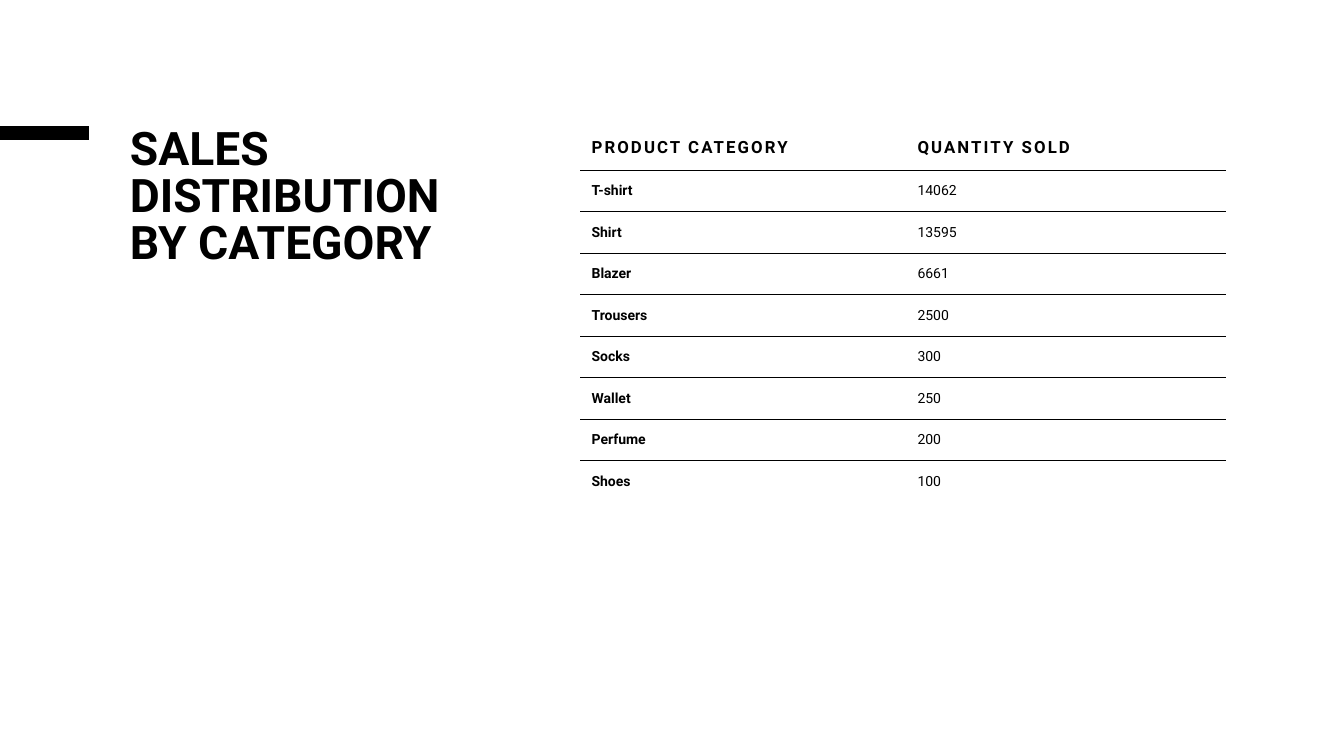
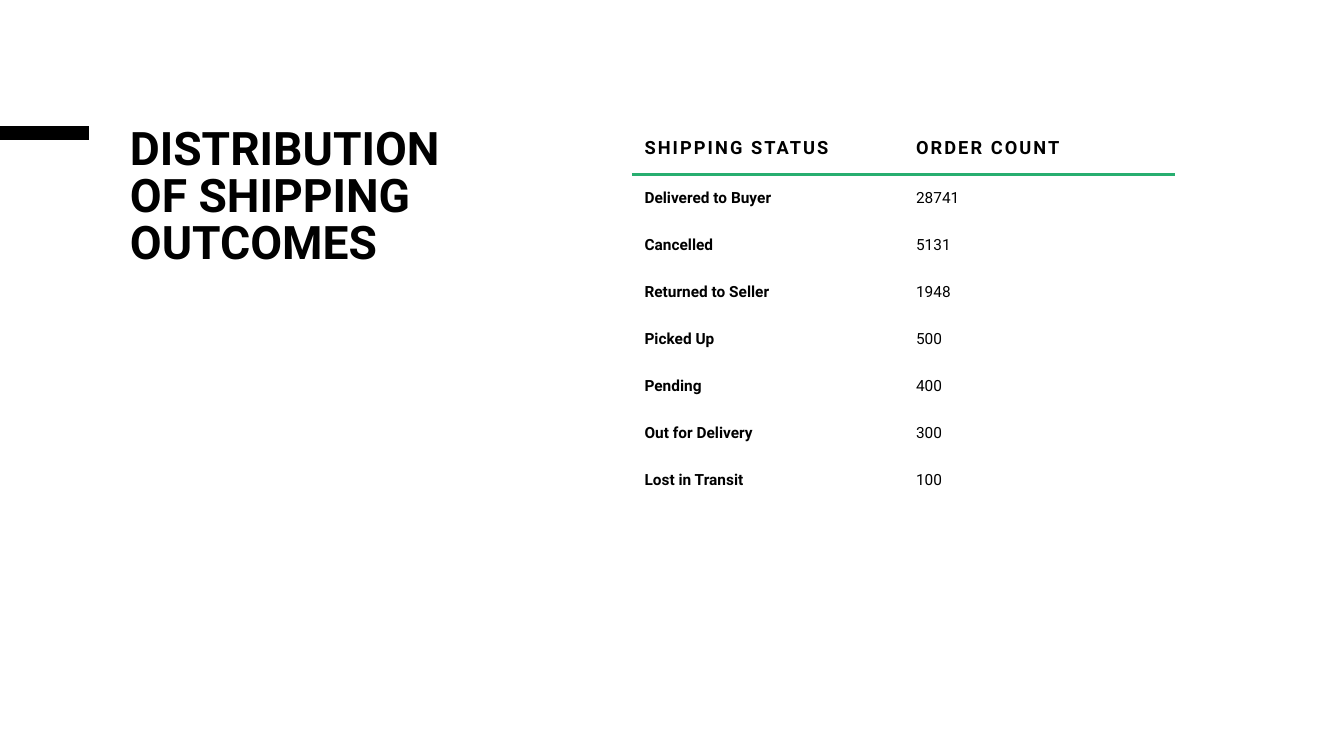
from lxml import etree
from pptx import Presentation
from pptx.dml.color import RGBColor
from pptx.enum import text
from pptx.oxml import ns
from pptx.util import Pt

BLACK = RGBColor(0, 0, 0)
GREEN = RGBColor(0x28, 0xAE, 0x70)
FONT = "Roboto"
WIDE, HIGH = 960, 540
BAR = (0, 95, 63.5)
TITLE = (85.7, 87.8, 275, 272)

SALES = {
    "title": "SALES DISTRIBUTION BY CATEGORY",
    "box": (414.6, 89.3),
    "cols": (232.8, 228.7),
    "head": 32.2,
    "row": 29.66,
    "inset": 8,
    "sizes": (12, 10),
    "rule": (BLACK, 0.5),
    "inner": True,
    "rows": [
        ("PRODUCT CATEGORY", "QUANTITY SOLD"),
        ("T-shirt", "14062"),
        ("Shirt", "13595"),
        ("Blazer", "6661"),
        ("Trousers", "2500"),
        ("Socks", "300"),
        ("Wallet", "250"),
        ("Perfume", "200"),
        ("Shoes", "100"),
    ],
}
SHIPPING = {
    "title": "DISTRIBUTION OF SHIPPING OUTCOMES",
    "box": (451.4, 87.8),
    "cols": (194, 194),
    "head": 36.7,
    "row": 33.66,
    "inset": 9,
    "sizes": (13, 11),
    "rule": (GREEN, 2.25),
    "inner": False,
    "rows": [
        ("SHIPPING STATUS", "ORDER COUNT"),
        ("Delivered to Buyer", "28741"),
        ("Cancelled", "5131"),
        ("Returned to Seller", "1948"),
        ("Picked Up", "500"),
        ("Pending", "400"),
        ("Out for Delivery", "300"),
        ("Lost in Transit", "100"),
    ],
}


def assign(item, values):
    for name, value in values.items():
        setattr(item, name, value)


def write(frame, words, size, bold=True, gap=0):
    run = frame.paragraphs[0].add_run()
    run.text = words
    assign(run.font, {"name": FONT, "size": Pt(size), "bold": bold})
    run.font.color.rgb = BLACK
    if gap:
        run.font._element.set("spc", str(int(gap * 100)))


def add_bar(slide, box):
    left, mid, width = box
    bar = slide.shapes.add_connector(1, Pt(left), Pt(mid), Pt(left + width), Pt(mid))
    bar.line.width = Pt(9.5)
    bar.line.color.rgb = BLACK
    etree.SubElement(bar._element.spPr, ns.qn("a:effectLst"))


def add_title(slide, box, words):
    frame = slide.shapes.add_textbox(*map(Pt, box)).text_frame
    frame.word_wrap = True
    frame.paragraphs[0].line_spacing = 0.85
    write(frame, words, 33)


def set_edge(cell, side, rule):
    props = cell._tc.get_or_add_tcPr()
    edge = etree.SubElement(props, ns.qn("a:ln" + side))
    if rule is None:
        etree.SubElement(edge, ns.qn("a:noFill"))
        return
    color, width = rule
    edge.set("w", str(Pt(width)))
    fill = etree.SubElement(edge, ns.qn("a:solidFill"))
    etree.SubElement(fill, ns.qn("a:srgbClr")).set("val", str(color))


def add_grid(slide, box, data):
    rows, cols = data["rows"], data["cols"]
    count = len(rows)
    high = data["head"] + data["row"] * (count - 1)
    size = (sum(cols), high)
    grid = slide.shapes.add_table(count, len(cols), *map(Pt, box + size)).table
    assign(grid, {"first_row": False, "horz_banding": False})
    for col, width in zip(grid.columns, cols):
        col.width = Pt(width)

    ruled = range(1, count) if data["inner"] else (1,)
    pad = Pt(data["inset"])
    sides = ("margin_left", "margin_right", "margin_top", "margin_bottom")
    layout = dict.fromkeys(sides, pad)
    layout["vertical_anchor"] = text.MSO_ANCHOR.MIDDLE
    for r, row in enumerate(rows):
        head = r == 0
        grid.rows[r].height = Pt(data["head"] if head else data["row"])
        for c, words in enumerate(row):
            cell = grid.cell(r, c)
            assign(cell, layout)
            edges = {"L": None, "R": None}
            edges["T"] = data["rule"] if r in ruled else None
            edges["B"] = data["rule"] if r + 1 in ruled else None
            for side, rule in edges.items():
                set_edge(cell, side, rule)
            cell.fill.background()
            write(cell.text_frame, words, data["sizes"][0 if head else 1],
                  head or c == 0, 1.5 if head else 0)


def add_page(deck, data):
    slide = deck.slides.add_slide(deck.slide_layouts[6])
    add_bar(slide, BAR)
    add_title(slide, TITLE, data["title"])
    add_grid(slide, data["box"], data)


def main():
    deck = Presentation()
    assign(deck, {"slide_width": Pt(WIDE), "slide_height": Pt(HIGH)})
    for data in (SALES, SHIPPING):
        add_page(deck, data)
    deck.save("out.pptx")


if __name__ == "__main__":
    main()
